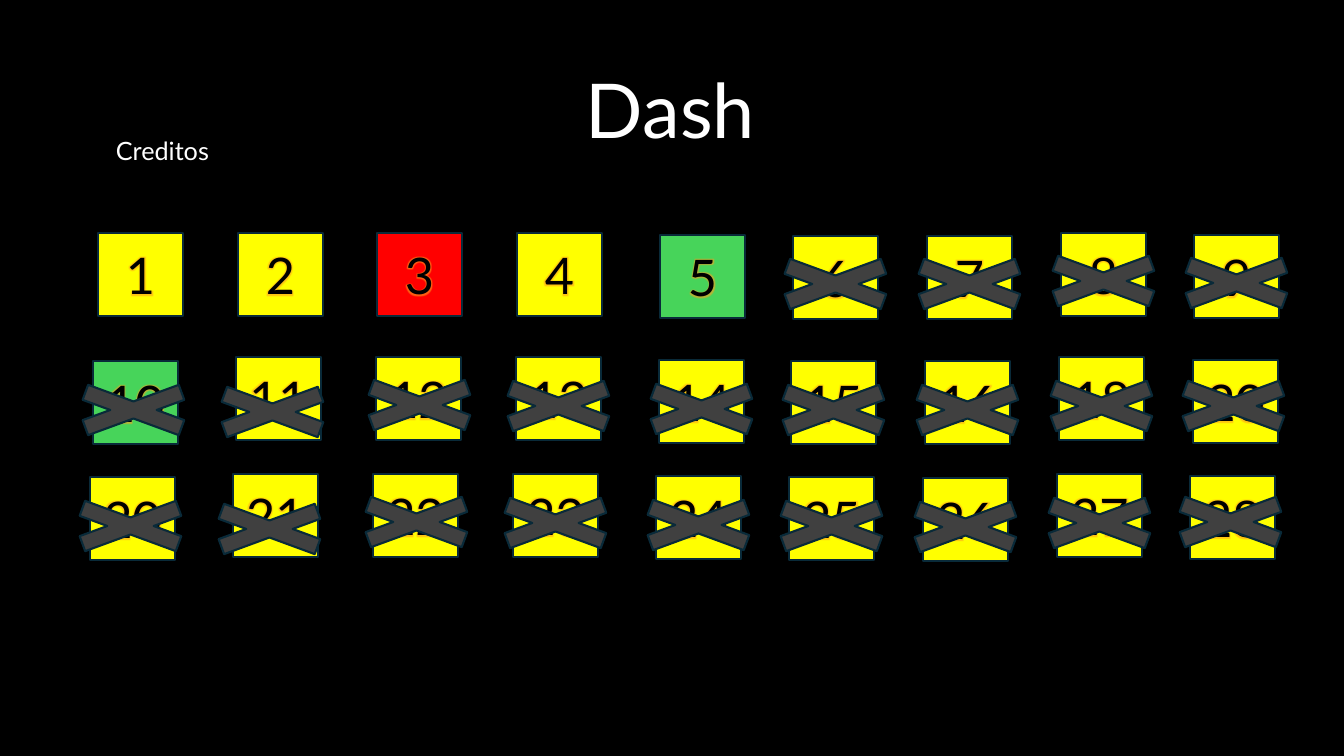
import pptx
import pptx.dml.color
import pptx.enum.shapes
import pptx.enum.text
import pptx.util
import lxml.etree
import pptx.oxml.ns

RGB = pptx.dml.color.RGBColor
KIND = pptx.enum.shapes.MSO_SHAPE
ALIGN = pptx.enum.text.PP_ALIGN
ANCHOR = pptx.enum.text.MSO_ANCHOR
QN = pptx.oxml.ns.qn

BLACK = RGB(0x00, 0x00, 0x00)
WHITE = RGB(0xFF, 0xFF, 0xFF)
YELLOW = RGB(0xFF, 0xFF, 0x00)
RED = RGB(0xFF, 0x00, 0x00)
GREEN = RGB(0x47, 0xD4, 0x5A)
GRAY = RGB(0x40, 0x40, 0x40)
NAVY = RGB(0x09, 0x2A, 0x39)
ORANGE = RGB(0xFF, 0xA0, 0x20)
PX = 914400 / 100.8

deck = pptx.Presentation()
deck.slide_width = round(1344 * PX)
deck.slide_height = round(756 * PX)
slide = deck.slides.add_slide(deck.slide_layouts[6])


def draw(kind, left, top, width, height, fill, edge):
    """Add a filled, outlined shape; lengths are in px."""
    shape = slide.shapes.add_shape(kind, *(round(n * PX) for n in (left, top, width, height)))
    shape.shadow.inherit = False
    shape.fill.solid()
    shape.fill.fore_color.rgb = fill
    shape.line.color.rgb = edge
    shape.line.width = pptx.util.Pt(1.5)
    return shape


def write(shape, text, size, color, align, anchor):
    frame = shape.text_frame
    frame.word_wrap = True
    frame.vertical_anchor = anchor
    par = frame.paragraphs[0]
    par.alignment = align
    run = par.add_run()
    run.text = text
    run.font.size = pptx.util.Pt(size)
    run.font.name = "Lato"
    run.font.color.rgb = color
    return run


draw(KIND.RECTANGLE, 0, 0, 1344, 756, BLACK, BLACK)

title = slide.shapes.add_textbox(*(round(n * PX) for n in (563, 59, 215, 101)))
write(title, "Dash", 54, WHITE, ALIGN.CENTER, ANCHOR.BOTTOM)
title.text_frame.paragraphs[0].line_spacing = 0.9

# Each row: labels, left edges, top edges
rows = [
    ("1 2 3 4 5 6 7 8 9",
     [98, 238, 377, 517, 660, 793, 927, 1061, 1194],
     [233, 233, 233, 233, 235, 236, 236, 233, 235]),
    ("10 11 12 13 14 15 16 18 20",
     [93, 236, 376, 516, 659, 791, 925, 1059, 1193],
     [361, 357, 357, 357, 360, 361, 361, 357, 360]),
    ("20 21 22 23 24 25 26 27 28",
     [90, 233, 373, 513, 656, 789, 923, 1057, 1190],
     [477, 474, 474, 474, 476, 477, 478, 474, 476]),
]
fills = {"3": RED, "5": GREEN, "10": GREEN}
shifts = {0: (-52, 15), 1: (-56, 21), 2: (-49, 14), 8: (-52, 12)}

for row, (labels, lefts, tops) in enumerate(rows):
    for col, (label, left, top) in enumerate(zip(labels.split(), lefts, tops)):
        tile = draw(KIND.RECTANGLE, left, top, 85, 83, fills.get(label, YELLOW), NAVY)
        run = write(tile, label, 36, BLACK, ALIGN.CENTER, ANCHOR.MIDDLE)
        effects = lxml.etree.Element(QN("a:effectLst"))
        glow = lxml.etree.SubElement(effects, QN("a:glow"), rad="38100")
        tint = lxml.etree.SubElement(glow, QN("a:srgbClr"), val=str(ORANGE))
        lxml.etree.SubElement(tint, QN("a:alpha"), val="60000")
        run.font._element.find(QN("a:solidFill")).addnext(effects)
        if row == 0 and col < 5:
            continue
        dx, dy = shifts.get(col, (-50, 15)) if row else (-50, 14)
        draw(KIND.MATH_MULTIPLY, left + dx, top + dy, 185, 68, GRAY, NAVY)

credit = slide.shapes.add_textbox(*(round(n * PX) for n in (106, 130, 123, 40)))
write(credit, "Creditos", 18, WHITE, ALIGN.LEFT, ANCHOR.TOP)

deck.save("out.pptx")
